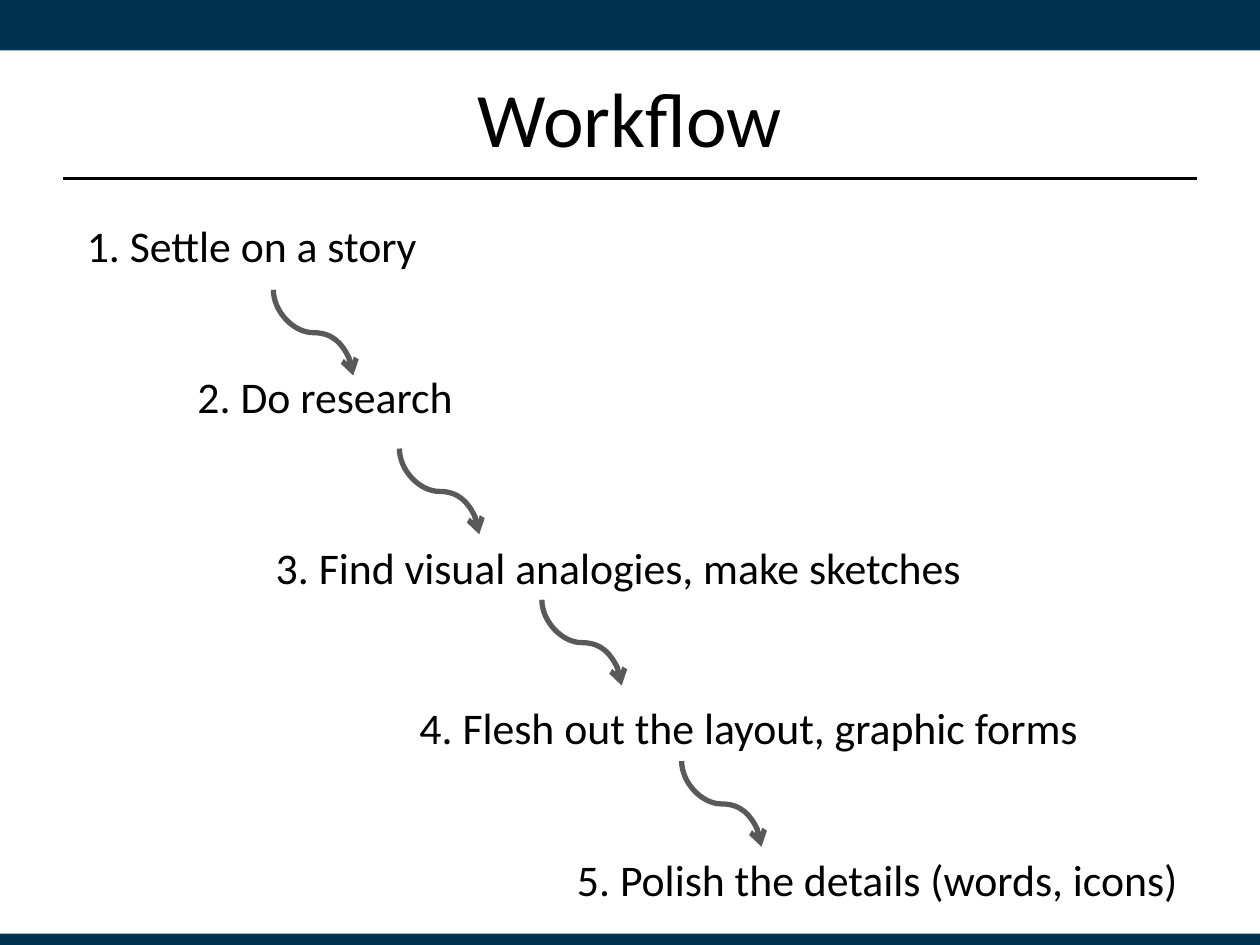
from dataclasses import dataclass

from lxml.etree import SubElement
from pptx import Presentation
from pptx.dml.color import RGBColor as RGB
from pptx.enum.shapes import MSO_CONNECTOR as LINK, MSO_SHAPE as SHAPE
from pptx.enum.text import MSO_ANCHOR as ANCHOR, MSO_AUTO_SIZE as FIT, PP_ALIGN as ALIGN
from pptx.oxml.ns import qn
from pptx.util import Pt


@dataclass(frozen=True)
class Theme:
    font: str = "Calibri"
    title_size: float = 44
    step_size: float = 25
    rule_width: float = 1.25
    arrow_width: float = 3
    ink: RGB = RGB(0x00, 0x00, 0x00)
    band: RGB = RGB(0x00, 0x32, 0x52)
    arrow: RGB = RGB(0x59, 0x59, 0x59)


def apply(target, formats):
    for name, value in formats.items():
        setattr(target, name, value)


class Deck:
    def __init__(self, slide, theme):
        self.slide = slide
        self.theme = theme

    def band(self, top, height):
        strip = self.slide.shapes.add_shape(SHAPE.RECTANGLE, 0, Pt(top), Pt(720), Pt(height))
        strip.shadow.inherit = False
        strip.fill.solid()
        strip.fill.fore_color.rgb = self.theme.band
        strip.line.fill.background()

    def text(self, words, left, top, width, height, size, frame_formats, align=ALIGN.LEFT):
        box = self.slide.shapes.add_textbox(Pt(left), Pt(top), Pt(width), Pt(height))
        apply(box.text_frame, frame_formats)
        paragraph = box.text_frame.paragraphs[0]
        paragraph.alignment = align
        run = paragraph.add_run()
        run.text = words
        apply(run.font, {"name": self.theme.font, "size": Pt(size)})
        run.font.color.rgb = self.theme.ink

    def title(self, words):
        self.text(words, 36, 21.6, 648, 90, self.theme.title_size,
                  {"word_wrap": True, "vertical_anchor": ANCHOR.MIDDLE}, ALIGN.CENTER)

    def step(self, words, left, top, width):
        self.text(words, left, top, width, 37.5, self.theme.step_size,
                  {"word_wrap": False, "auto_size": FIT.SHAPE_TO_FIT_TEXT})

    def link(self, kind, start, end, color, width):
        link = self.slide.shapes.add_connector(kind, *map(Pt, start + end))
        link.line.color.rgb = color
        link.line.width = Pt(width)
        SubElement(link._element.spPr, qn("a:effectLst"))
        return link

    def rule(self, left, right, top):
        self.link(LINK.STRAIGHT, (left, top), (right, top), self.theme.ink, self.theme.rule_width)

    def arrow(self, left, top, across=45.6, down=49):
        middle_x, middle_y = left + across / 2, top + down / 2
        curve = self.link(LINK.CURVE,
                          (middle_x + down / 2, middle_y - across / 2),
                          (middle_x - down / 2, middle_y + across / 2),
                          self.theme.arrow, self.theme.arrow_width)
        curve._element.spPr.find(qn("a:xfrm")).set("rot", str(270 * 60000))
        SubElement(curve.line._get_or_add_ln(), qn("a:tailEnd"), type="arrow")


STEPS = [
    ("Settle on a story", 42.5, 121.7, 204),
    ("Do research", 105.8, 208, 168.5),
    ("Find visual analogies, make sketches", 150.5, 305.3, 410.4),
    ("Flesh out the layout, graphic forms", 232.6, 396.7, 394.6),
    ("Polish the details (words, icons)", 322.6, 483.8, 361.4),
]
ARROWS = [(156.2, 165.6), (228.2, 256.3), (309.6, 342.7), (389.5, 434.9)]


def main():
    presentation = Presentation()
    apply(presentation, {"slide_width": Pt(720), "slide_height": Pt(540)})
    deck = Deck(presentation.slides.add_slide(presentation.slide_layouts[6]), Theme())
    deck.band(0, 28.8)
    deck.band(533.5, 6.5)
    deck.rule(36, 684, 102)
    deck.title("Workflow")
    for number, (words, left, top, width) in enumerate(STEPS, 1):
        deck.step(f"{number}. {words}", left, top, width)
    for left, top in ARROWS:
        deck.arrow(left, top)
    presentation.save("out.pptx")


if __name__ == "__main__":
    main()
